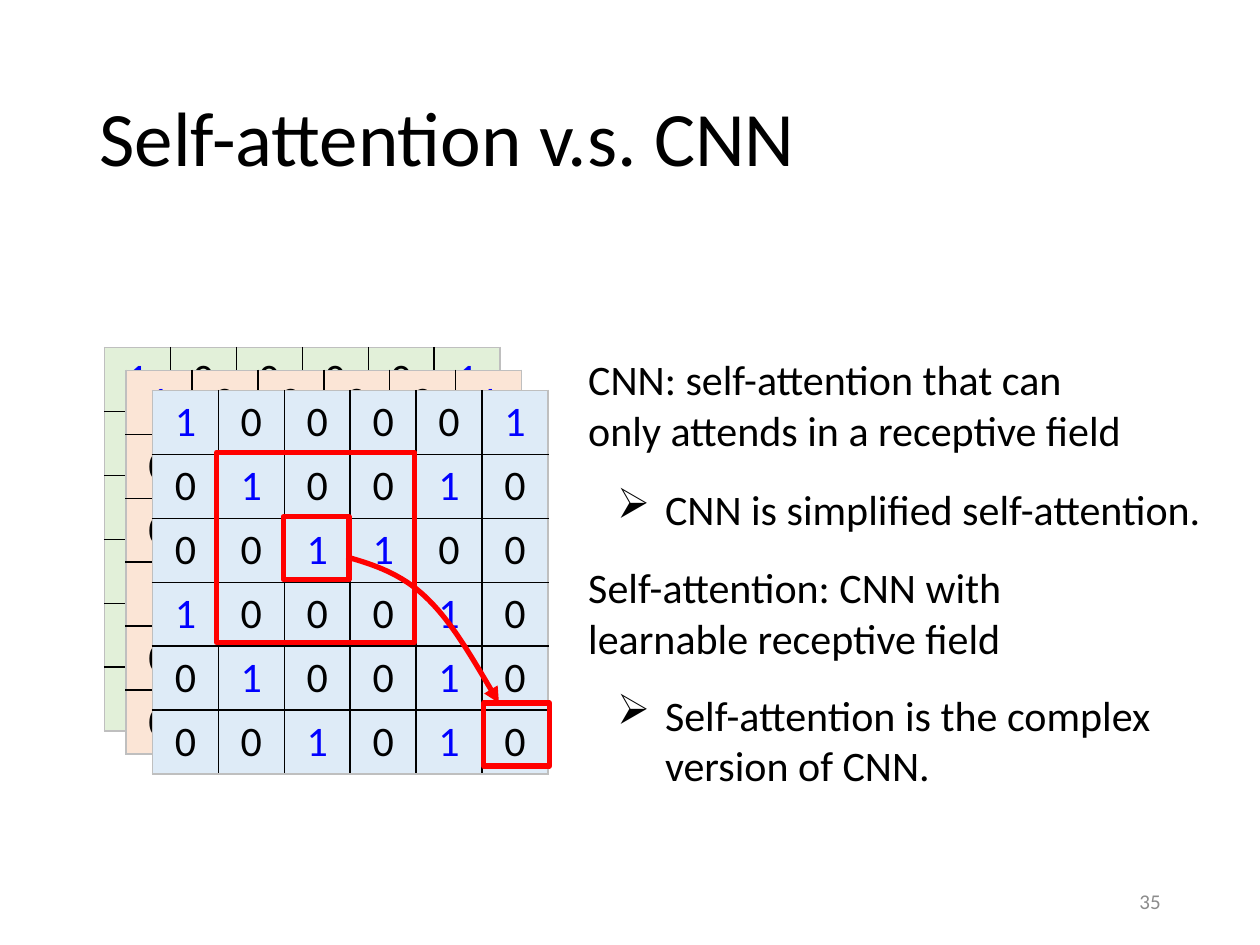
from lxml import etree
from pptx import Presentation
from pptx.dml.color import RGBColor
from pptx.enum.shapes import MSO_SHAPE
from pptx.enum.text import MSO_ANCHOR, PP_ALIGN
from pptx.oxml.ns import qn
from pptx.util import Inches, Pt

COLORS = {
    "text": "000000", "one": "0000FF", "mark": "FF0000", "number": "8C8C8C",
    "edge": "BFBFBF", "green": "E2F0D9", "orange": "FBE5D6", "blue": "DEEBF7",
}
MATRIX = ["100001", "010010", "001100", "100010", "010010", "001010"]
N = len(MATRIX)


def style(p, size, color="text", align=PP_ALIGN.LEFT):
    p.alignment = align
    for r in p.runs:
        r.font.name = "Calibri"
        r.font.size = Pt(size)
        r.font.color.rgb = RGBColor.from_string(COLORS[color])


def outline(sp):
    sp.shadow.inherit = False
    sp.fill.background()
    sp.line.color.rgb = RGBColor.from_string(COLORS["mark"])
    sp.line.width = Pt(3)


prs = Presentation()
prs.slide_width, prs.slide_height = Inches(10), Inches(7.5)
s = prs.slides.add_slide(prs.slide_layouts[5])

title = s.shapes.title
title.left, title.top = Inches(0.69), Inches(0.4)
title.width, title.height = Inches(8.62), Inches(1.45)
title.text_frame.text = "Self-attention v.s. CNN"
title.text_frame.vertical_anchor = MSO_ANCHOR.MIDDLE
p = title.text_frame.paragraphs[0]
p.line_spacing = 0.9
style(p, 44)

for x, y, fill in [(0.83, 2.76, "green"), (1, 2.94, "orange"), (1.21, 3.1, "blue")]:
    table = s.shapes.add_table(N, N, Inches(x), Inches(y), Inches(3.14), Inches(3)).table
    table.first_row = table.horz_banding = False
    for i, row in enumerate(MATRIX):
        for j, digit in enumerate(row):
            cell = table.cell(i, j)
            cell.text_frame.text = digit
            style(cell.text_frame.paragraphs[0], 24, "one" if digit == "1" else "text", PP_ALIGN.CENTER)
            outer = {"lnL": j == 0, "lnR": j == N - 1, "lnT": i == 0, "lnB": i == N - 1}
            tcPr = cell._tc.get_or_add_tcPr()
            for side, is_outer in outer.items():
                ln = etree.SubElement(tcPr, qn("a:" + side), w=str(Pt(1)))
                solid = etree.SubElement(ln, qn("a:solidFill"))
                etree.SubElement(solid, qn("a:srgbClr"), val=COLORS["edge" if is_outer else "text"])
            cell.fill.solid()
            cell.fill.fore_color.rgb = RGBColor.from_string(COLORS[fill])

notes = [
    (4.57, 2.76, 4.59, 0.91, "CNN: self-attention that can only attends in a receptive field", False),
    (4.57, 4.41, 4.59, 0.91, "Self-attention: CNN with learnable receptive field", False),
    (4.8, 3.79, 4.93, 0.5, "CNN is simplified self-attention.", True),
    (4.8, 5.42, 4.93, 0.91, "Self-attention is the complex version of CNN.", True),
]
for x, y, w, h, text, bullet in notes:
    tf = s.shapes.add_textbox(Inches(x), Inches(y), Inches(w), Inches(h)).text_frame
    tf.word_wrap = True
    tf.text = text
    p = tf.paragraphs[0]
    style(p, 24)
    if bullet:
        pPr = p._p.get_or_add_pPr()
        pPr.set("marL", str(Inches(0.38)))
        pPr.set("indent", str(-Inches(0.38)))
        etree.SubElement(pPr, qn("a:buChar"), char="➢")

for x, y, w, h in [(2.25, 4.1, 0.52, 0.5), (3.84, 5.58, 0.52, 0.5), (1.72, 3.59, 1.57, 1.51)]:
    outline(s.shapes.add_shape(MSO_SHAPE.RECTANGLE, Inches(x), Inches(y), Inches(w), Inches(h)))

curve = [(2.96, 4.48), (3.18, 4.55), (3.38, 4.74), (3.58, 4.93), (3.77, 5.26), (3.96, 5.58)]
builder = s.shapes.build_freeform(Inches(2.75), Inches(4.42))
builder.add_line_segments([(Inches(x), Inches(y)) for x, y in curve], close=False)
arrow = builder.convert_to_shape()
outline(arrow)
outline_path = arrow._element.find(".//" + qn("a:path"))
segments = outline_path.findall(qn("a:lnTo"))
for k in range(0, len(segments), 3):
    bezier = etree.SubElement(outline_path, qn("a:cubicBezTo"))
    for segment in segments[k:k + 3]:
        bezier.append(segment[0])
        outline_path.remove(segment)
etree.SubElement(arrow.line._get_or_add_ln(), qn("a:tailEnd"), type="triangle")

tf = s.shapes.add_textbox(Inches(7.06), Inches(6.95), Inches(2.25), Inches(0.4)).text_frame
tf.word_wrap = True
tf.vertical_anchor = MSO_ANCHOR.MIDDLE
tf.text = "35"
style(tf.paragraphs[0], 12, "number", PP_ALIGN.RIGHT)

prs.save("out.pptx")
